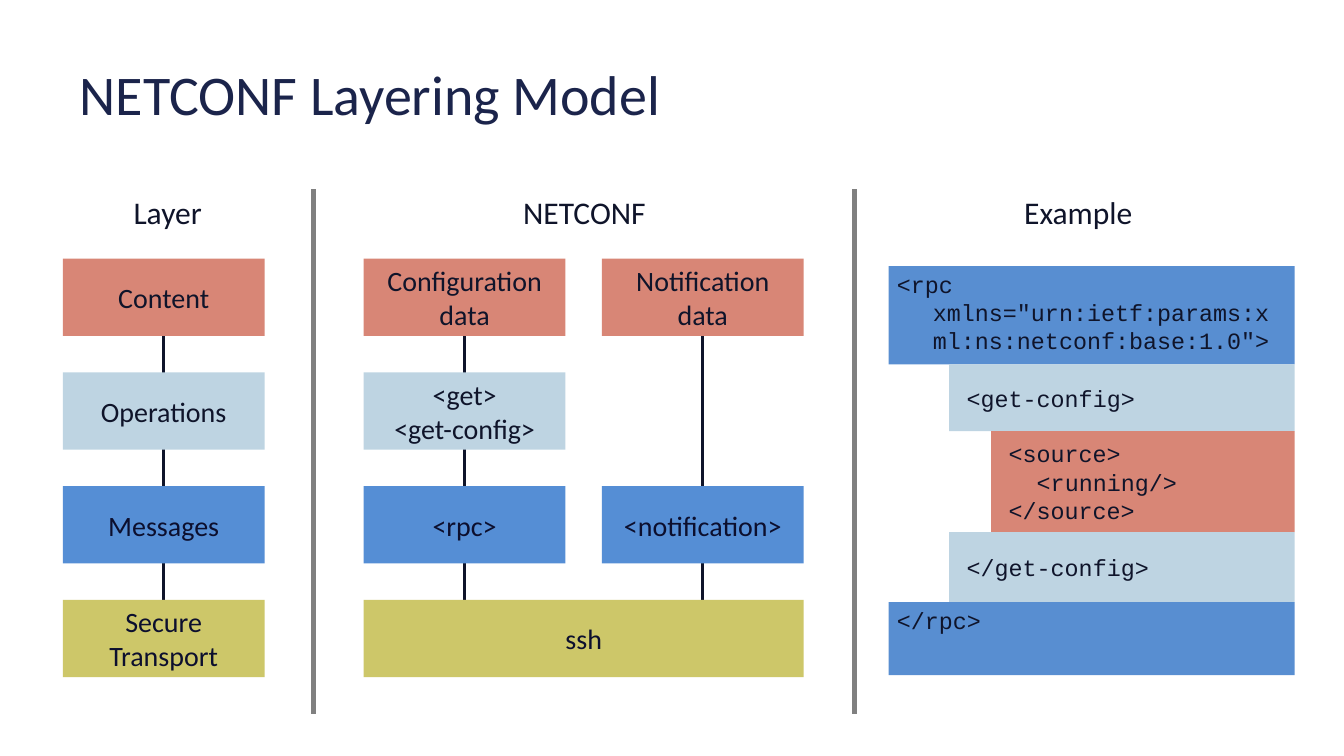
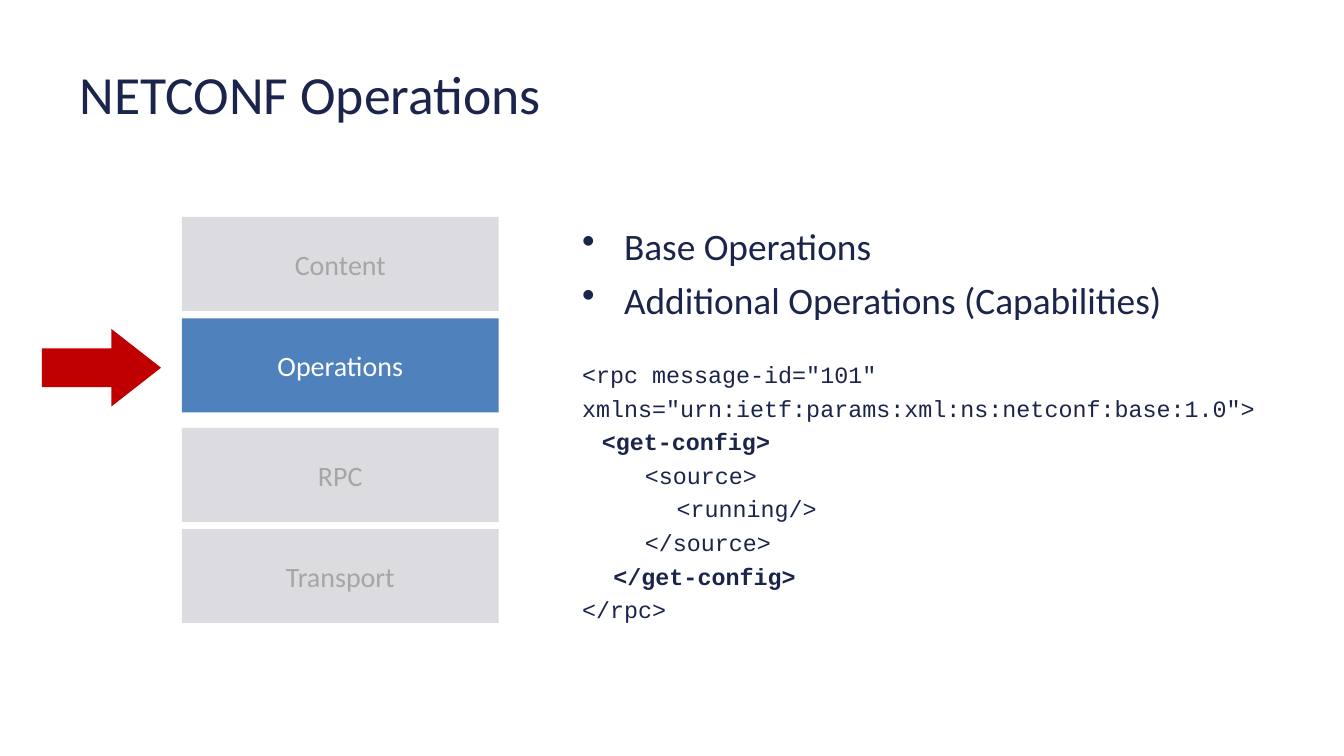
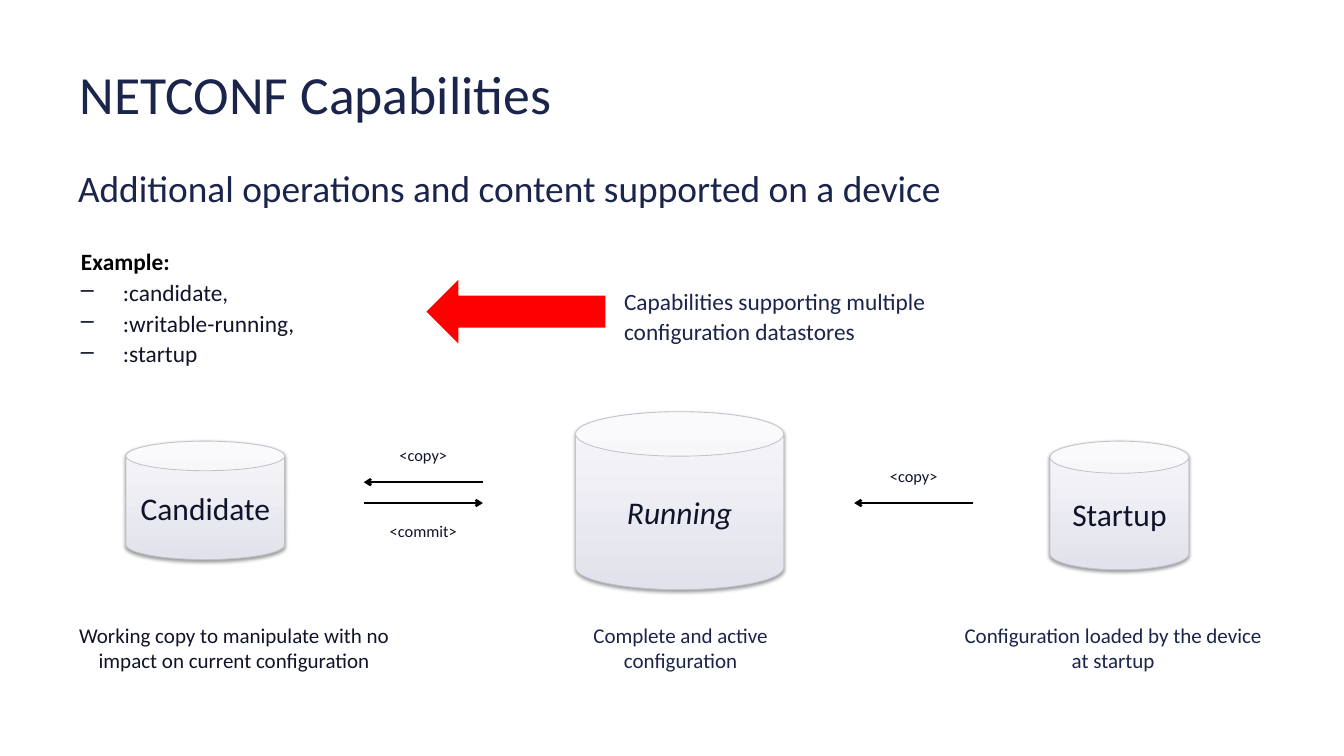
from lxml import etree
from pptx import Presentation
from pptx import util as u
from pptx.dml.color import RGBColor
from pptx.enum import shapes, text
from pptx.oxml.ns import qn

NAVY = RGBColor(0x1B, 0x24, 0x4B)
INK = RGBColor(0x0F, 0x14, 0x2A)
DEEP_INK = RGBColor(0x0C, 0x0F, 0x2E)
BLACK = RGBColor(0, 0, 0)
WHITE = RGBColor(0xFF, 0xFF, 0xFF)
DIVIDER = RGBColor(0x80, 0x80, 0x80)
SALMON = RGBColor(0xD8, 0x86, 0x76)
PALE_BLUE = RGBColor(0xBE, 0xD4, 0xE2)
BLUE = RGBColor(0x55, 0x8E, 0xD5)
CODE_BLUE = RGBColor(0x58, 0x8E, 0xD1)
OLIVE = RGBColor(0xCD, 0xC7, 0x69)
ACTIVE = RGBColor(0x4F, 0x81, 0xBD)
MUTED = RGBColor(0xC8, 0xC8, 0xD0)
MUTED_TEXT = RGBColor(0xA6, 0xA6, 0xA6)
DARK_RED = RGBColor(0xC0, 0, 0)
RED = RGBColor(0xFF, 0, 0)
CAN_LOW = RGBColor(0xE2, 0xE2, 0xEC)
CAN_HIGH = RGBColor(0xF7, 0xF7, 0xFA)
CAN_EDGE = RGBColor(0xC3, 0xC3, 0xCC)

BODY, CODE = "Calibri", "Courier New"
RECT = shapes.MSO_SHAPE.RECTANGLE
LEFT, CENTER = text.PP_ALIGN.LEFT, text.PP_ALIGN.CENTER
TOP, MIDDLE = text.MSO_ANCHOR.TOP, text.MSO_ANCHOR.MIDDLE


def add_box(page, area, words="", size=24, ink=INK, kind=None, fill=None, font=BODY,
            align=LEFT, anchor=TOP, inset=(0.25, 0.13), spacing=None):
    """Add a text box, or a filled shape if a kind is given; area is in cm."""
    area = [u.Cm(length) for length in area]
    if kind is None:
        box = page.shapes.add_textbox(*area)
    else:
        box = page.shapes.add_shape(kind, *area)
        box.shadow.inherit = False
        box.line.fill.background()
        if fill is not None:
            box.fill.solid()
            box.fill.fore_color.rgb = fill
    frame = box.text_frame
    frame.word_wrap = True
    frame.vertical_anchor = anchor
    frame.margin_left = frame.margin_right = u.Cm(inset[0])
    frame.margin_top = frame.margin_bottom = u.Cm(inset[1])
    frame.text = words
    for para in frame.paragraphs:
        para.alignment = align
        if spacing:
            para.line_spacing = spacing
        for span in para.runs:
            span.font.name = font
            span.font.size = u.Pt(size)
            span.font.color.rgb = ink
    return box


def add_line(page, start, end, ink, width, arrow=False):
    """Draw a straight line between two points in cm, with an optional arrowhead."""
    line = page.shapes.add_connector(
        shapes.MSO_CONNECTOR.STRAIGHT, *[u.Cm(length) for length in start + end])
    line.line.color.rgb = ink
    line.line.width = u.Pt(width)
    if arrow:
        etree.SubElement(line.line._ln, qn("a:tailEnd"), type="arrow")
    etree.SubElement(line._element.spPr, qn("a:effectLst"))


deck = Presentation()
deck.slide_width, deck.slide_height = u.Cm(40.64), u.Cm(22.86)
pages = []
for title, size in (("NETCONF Layering Model", 48), ("NETCONF Operations", 46),
                    ("NETCONF Capabilities", 46)):
    page = deck.slides.add_slide(deck.slide_layouts[6])
    add_box(page, (2.03, 0.91, 36.58, 3.81), title, size, NAVY,
            anchor=MIDDLE, inset=(0.38, 0.2))
    pages.append(page)
layering, operations, capabilities = pages

# Layering model: three columns of layers, then the nested example
COLUMNS = (1.9, 11, 18.2)
LAYER_TOP, LAYER_STEP, LAYER_WIDTH, LAYER_HEIGHT = 7.82, 3.44, 6.1, 2.34
for left in COLUMNS:
    middle = left + LAYER_WIDTH / 2
    add_line(layering, (middle, 9.9), (middle, 20.2), INK, 2.25)
layers = (
    (SALMON, INK, ("Content", "Configuration\ndata", "Notification\ndata")),
    (PALE_BLUE, INK, ("Operations", "<get>\n<get-config>")),
    (BLUE, DEEP_INK, ("Messages", "<rpc>", "<notification>")),
    (OLIVE, DEEP_INK, ("Secure\nTransport", "ssh")),
)
for row, (fill, ink, names) in enumerate(layers):
    for left, name in zip(COLUMNS, names):
        width = COLUMNS[2] + LAYER_WIDTH - left if name == "ssh" else LAYER_WIDTH
        add_box(layering, (left, LAYER_TOP + row * LAYER_STEP, width, LAYER_HEIGHT),
                name, 24, ink, RECT, fill, align=CENTER, anchor=MIDDLE)
for x in (9.47, 25.83):
    add_line(layering, (x, 5.72), (x, 21.59), DIVIDER, 4.5)
for heading, left, width in (("Layer", 0.84, 8.46), ("NETCONF", 9.73, 15.88),
                             ("Example", 26.04, 13.13)):
    add_box(layering, (left, 5.72, width, 1.42), heading, 27, align=CENTER)

EXAMPLE_RIGHT = 39.15
example = (
    (26.87, 8.05, 2.97, CODE_BLUE, TOP, 0.25,
     '<rpc xmlns="urn:ietf:params:xml:ns:netconf:base:1.0">'),
    (28.7, 11.02, 2.02, PALE_BLUE, MIDDLE, 0.53, "<get-config>"),
    (29.97, 13.04, 3.05, SALMON, MIDDLE, 0.53, "<source>\n<running/>\n</source>"),
    (28.7, 16.09, 2.12, PALE_BLUE, MIDDLE, 0.53, "</get-config>"),
    (26.87, 18.21, 2.21, CODE_BLUE, TOP, 0.25, "</rpc>"),
)
bars = []
for left, top, height, fill, anchor, inset, code in example:
    bar = add_box(layering, (left, top, EXAMPLE_RIGHT - left, height), code, 20, INK, RECT,
                  fill, CODE, anchor=anchor, inset=(inset, 0.13), spacing=u.Pt(24))
    bar.text_frame.margin_right = u.Cm(0.6)
    bars.append(bar)
opening = bars[0].text_frame.paragraphs[0]._p.get_or_add_pPr()
opening.set("marL", str(u.Cm(1.09)))
opening.set("indent", str(u.Cm(-1.09)))
nested = bars[2].text_frame.paragraphs[1]._p.get_or_add_pPr()
nested.set("marL", str(u.Cm(0.85)))

# Operations: the active layer in the stack, and a request
topics = add_box(operations, (17.35, 6.35, 20.12, 3.51),
                 "Base Operations\nAdditional Operations (Capabilities)", 32, NAVY, spacing=1.2)
request = (
    ('<rpc message-id="101"', 0),
    ('xmlns="urn:ietf:params:xml:ns:netconf:base:1.0">', 0),
    ("<get-config>", 0.6),
    ("<source>", 1.9),
    ("<running/>", 2.86),
    ("</source>", 1.9),
    ("</get-config>", 0.95),
    ("</rpc>", 0),
)
listing = add_box(operations, (17.35, 10.59, 20.96, 8.43), "\n".join(line for line, _ in request),
                  20, NAVY, font=CODE, spacing=u.Pt(28.8))
for para, (line, indent) in zip(listing.text_frame.paragraphs, request):
    para._p.get_or_add_pPr().set("marL", str(u.Cm(indent)))
    para.runs[0].font.bold = "get-config" in line

for name, top in (("Content", 6.56), ("Operations", 9.63), ("RPC", 12.94), ("Transport", 16)):
    active = name == "Operations"
    box = add_box(operations, (5.5, top, 9.58, 2.84), name, 24, WHITE if active else MUTED_TEXT,
                  RECT, ACTIVE if active else MUTED, align=CENTER, anchor=MIDDLE)
    if not active:
        tone = box._element.spPr.find(qn("a:solidFill"))[0]
        etree.SubElement(tone, qn("a:alpha"), val="65000")
pointer = add_box(operations, (1.27, 9.95, 3.6, 2.34),
                  kind=shapes.MSO_SHAPE.RIGHT_ARROW, fill=DARK_RED)
pointer.adjustments[1] = 0.64

# Capabilities: the examples, and three datastores with their transfers
add_box(capabilities, (2.11, 4.88, 34.29, 1.63),
        "Additional operations and content supported on a device", 32, NAVY)
examples = add_box(capabilities, (2.2, 7.26, 9.96, 4.01),
                   "Example:\n:candidate,\n:writable-running,\n:startup", 20, spacing=1.1)
example_heading = examples.text_frame.paragraphs[0].runs[0].font
example_heading.bold = True
example_heading.color.rgb = BLACK
add_box(capabilities, (12.9, 8.46, 5.41, 1.93), kind=shapes.MSO_SHAPE.LEFT_ARROW, fill=RED)
add_box(capabilities, (18.62, 8.46, 12.27, 2.13),
        "Capabilities supporting multiple configuration datastores", 20, NAVY, spacing=1.1)

datastores = (
    ("Candidate", (3.81, 13.34, 4.8, 3.58), 1.9, 10.36, INK,
     "Working copy to manipulate with no impact on current configuration"),
    ("Running", (17.4, 12.45, 6.3, 5.38), 16.08, 9, NAVY,
     "Complete and active configuration"),
    ("Startup", (31.75, 13.34, 4.2, 3.89), 28.58, 10.16, NAVY,
     "Configuration loaded by the device at startup"),
)
for name, area, left, width, ink, caption in datastores:
    can = add_box(capabilities, area, name, 27, kind=shapes.MSO_SHAPE.CAN,
                  align=CENTER, anchor=MIDDLE, inset=(0.2, 0.2))
    can.text_frame.paragraphs[0].runs[0].font.italic = name == "Running"
    can.fill.gradient()
    can.fill.gradient_angle = 90
    for stop, tone, position in zip(can.fill.gradient_stops, (CAN_LOW, CAN_HIGH), (0, 1)):
        stop.color.rgb = tone
        stop.position = position
    can.line.color.rgb = CAN_EDGE
    can.line.width = u.Pt(0.75)
    shadow = etree.SubElement(
        can._element.spPr.find(qn("a:effectLst")), qn("a:outerShdw"),
        blurRad=str(u.Pt(3.1)), dist=str(u.Pt(1.6)), dir="5400000", rotWithShape="0")
    shade = etree.SubElement(shadow, qn("a:srgbClr"), val=str(BLACK))
    etree.SubElement(shade, qn("a:alpha"), val="38000")
    add_box(capabilities, (left, 18.62, width, 1.96), caption, 18, ink,
            align=CENTER, inset=(0.41, 0.2))

for label, start, end, y, label_top in (("<copy>", 14.6, 11, 14.58, 13.34),
                                        ("<commit>", 11, 14.6, 15.21, 15.62),
                                        ("<copy>", 29.43, 25.83, 15.21, 13.97)):
    add_line(capabilities, (start, y), (end, y), BLACK, 2, arrow=True)
    add_box(capabilities, (min(start, end), label_top, 3.6, 0.86), label, 14, align=CENTER)

# Bulleted lists
for box, first, mark in ((topics, 0, "•"), (examples, 1, "–")):
    for para in box.text_frame.paragraphs[first:]:
        settings = para._p.get_or_add_pPr()
        settings.set("marL", str(u.Cm(1.27)))
        settings.set("indent", str(u.Cm(-1.27)))
        etree.SubElement(settings, qn("a:buChar"), char=mark)

deck.save("out.pptx")
